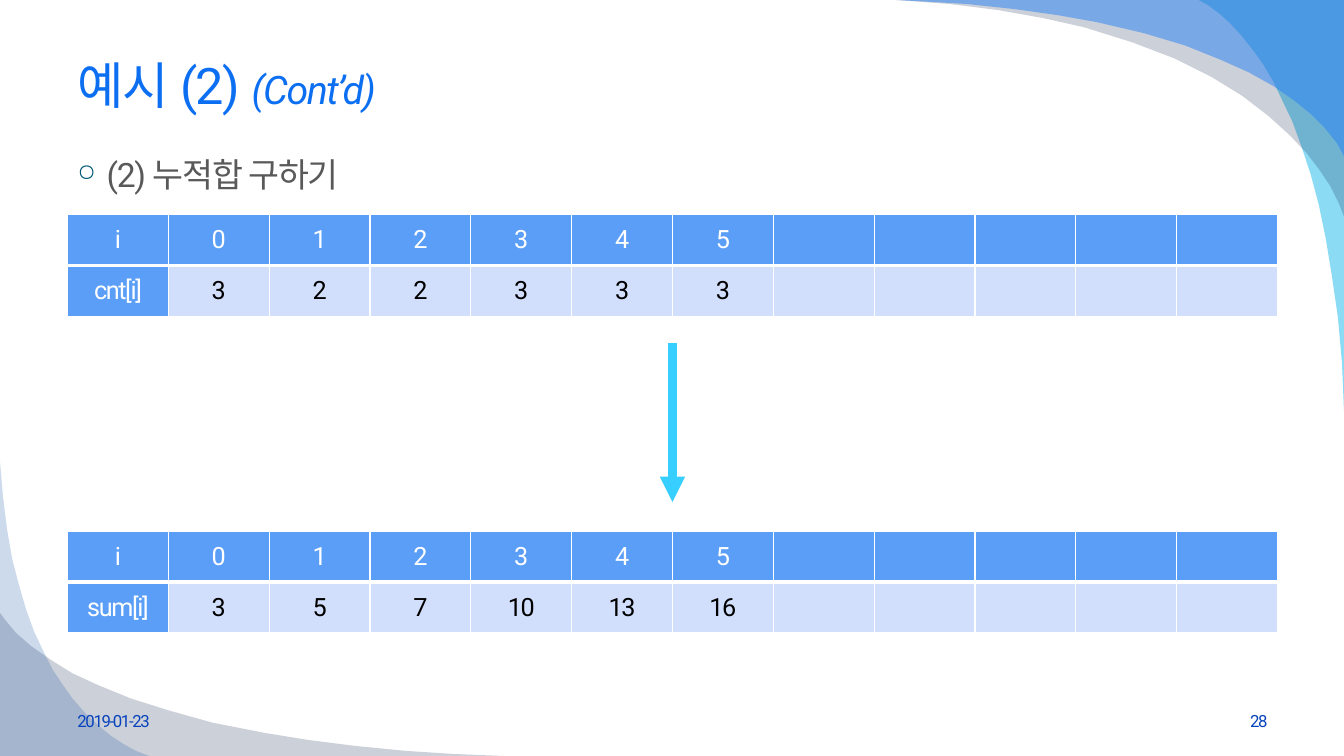
from pptx import Presentation
from pptx.dml.color import RGBColor
from pptx.enum.shapes import MSO_CONNECTOR
from pptx.enum.text import MSO_ANCHOR, MSO_AUTO_SIZE, PP_ALIGN
from pptx.oxml import parse_xml
from pptx.oxml.ns import nsdecls, qn
from pptx.util import Inches, Pt

FONT = "Roboto"
WHITE = "FFFFFF"
BLUE = "5B9EF7"
WAVES = [
    ("00B1E9", 45, [
        (13.33, 4.08), (13.33, 0), (11.89, 0), (11.98, 0.05), (12.1, 0.14),
        (12.2, 0.23), (12.31, 0.35), (12.43, 0.5), (12.53, 0.64),
        (12.63, 0.81), (12.72, 1), (12.82, 1.21), (12.91, 1.46),
        (13, 1.73), (13.08, 2.03), (13.15, 2.37), (13.21, 2.74),
        (13.27, 3.15), (13.31, 3.6)]),
    ("021741", 20, [
        (8.89, 0), (13.33, 0), (13.33, 2.15), (13.28, 2.02), (13.19, 1.84),
        (13.09, 1.69), (12.96, 1.52), (12.79, 1.34), (12.58, 1.15),
        (12.32, 0.95), (12.01, 0.76), (11.65, 0.58), (11.23, 0.42),
        (10.75, 0.27), (10.35, 0.18), (9.9, 0.1), (9.42, 0.04)]),
    ("247FF4", 49, [
        (8.89, 0), (13.33, 0), (13.33, 1.55), (13.26, 1.42), (13.14, 1.27),
        (13, 1.13), (12.84, 1), (12.64, 0.86), (12.39, 0.72), (12.1, 0.59),
        (11.75, 0.45), (11.35, 0.33), (10.88, 0.22), (10.49, 0.15),
        (10.06, 0.09), (9.59, 0.04), (9.25, 0.02)]),
    ("021741", 20, [
        (5, 7.5), (0, 7.5), (0, 6.08), (0.06, 6.16), (0.16, 6.28),
        (0.31, 6.41), (0.51, 6.55), (0.72, 6.68), (0.98, 6.8), (1.3, 6.93),
        (1.68, 7.05), (2.11, 7.17), (2.62, 7.27), (3.05, 7.34),
        (3.52, 7.4), (4.03, 7.45), (4.5, 7.48)]),
    ("084AA1", 20, [
        (0, 4.58), (0, 7.5), (1.48, 7.5), (1.35, 7.45), (1.24, 7.39),
        (1.1, 7.3), (0.98, 7.2), (0.85, 7.08), (0.72, 6.93), (0.62, 6.79),
        (0.52, 6.64), (0.43, 6.46), (0.34, 6.27), (0.26, 6.05),
        (0.19, 5.81), (0.12, 5.54), (0.07, 5.25), (0.03, 4.93)]),
]


def color(code):
    """Turn a hex string into a colour."""
    return RGBColor.from_string(code)


def add_run(para, text, size, code, slant=None):
    """Add one tightly spaced run to a paragraph."""
    run = para.add_run()
    run.text = text
    font = run.font
    font.name, font.size, font.bold, font.italic = FONT, Pt(size), False, slant
    font.color.rgb = color(code)
    props = run._r.get_or_add_rPr()
    props.set("spc", "-100")
    props.find(qn("a:latin")).addnext(
        parse_xml(f'<a:ea {nsdecls("a")} typeface="{FONT}"/>'))


def add_text(slide, box, text, size, code, align=PP_ALIGN.LEFT,
             anchor=MSO_ANCHOR.MIDDLE):
    """Add a one-paragraph text box and return its paragraph."""
    frame = slide.shapes.add_textbox(*map(Inches, box)).text_frame
    frame.word_wrap = True
    frame.vertical_anchor = anchor
    para = frame.paragraphs[0]
    para.alignment = align
    add_run(para, text, size, code)
    return para


def draw_waves(slide, left, top):
    """Draw the clear corner waves from the page's top left corner."""
    for code, alpha, points in WAVES:
        first, *rest = [(Inches(left + x), Inches(top + y)) for x, y in points]
        pen = slide.shapes.build_freeform(*first)
        pen.add_line_segments(rest, close=True)
        wave = pen.convert_to_shape()
        wave.shadow.inherit = False
        wave.line.fill.background()
        wave.fill.solid()
        wave.fill.fore_color.rgb = color(code)
        tint = wave._element.spPr.find(f'{qn("a:solidFill")}/{qn("a:srgbClr")}')
        tint.append(parse_xml(
            f'<a:alpha {nsdecls("a")} val="{alpha * 1000}"/>'))


def fill_title(slide, box):
    """Place the title and write its two runs."""
    title = slide.shapes.title
    title.left, title.top, title.width, title.height = map(Inches, box)
    frame = title.text_frame
    frame.auto_size = MSO_AUTO_SIZE.NONE
    frame.vertical_anchor = MSO_ANCHOR.MIDDLE
    para = frame.paragraphs[0]
    para.alignment = PP_ALIGN.LEFT
    add_run(para, "예시 (2) ", 36, "0C6FF2")
    add_run(para, "(Cont’d)", 28, "0C6FF2", True)


def draw_point(slide, box):
    """Write the bullet point."""
    para = add_text(slide, box, "(2) 누적합 구하기", 24, "595959",
                    anchor=MSO_ANCHOR.TOP)
    props = para._p.get_or_add_pPr()
    props.set("marL", str(Inches(0.29)))
    props.set("indent", str(Inches(-0.29)))
    for part in ('buClr {}><a:srgbClr val="005876"/></a:buClr',
                 'buSzPct {} val="70000"/', 'buChar {} char="○"/'):
        props.append(parse_xml("<a:" + part.format(nsdecls("a")) + ">"))


def edge_cell(cell, head):
    """Give a cell white edges, thick between the two rows."""
    props = cell._tc.get_or_add_tcPr()
    thick = "B" if head else "T"
    for side in "LRTB":
        width = Pt(3 if side == thick else 1)
        props.append(parse_xml(
            f'<a:ln{side} {nsdecls("a")} w="{width}"><a:solidFill>'
            f'<a:srgbClr val="{WHITE}"/></a:solidFill></a:ln{side}>'))


def draw_table(slide, box, name, values, count=12):
    """Draw an index row over a row of values, padded with blank cells."""
    rows = [["i", *range(len(values))], [name, *values]]
    table = slide.shapes.add_table(2, count, *map(Inches, box)).table
    table.first_col = True
    for r, row in enumerate(rows):
        for c in range(count):
            cell = table.cell(r, c)
            head = r == 0 or c == 0
            edge_cell(cell, r == 0)
            cell.fill.solid()
            cell.fill.fore_color.rgb = color(BLUE if head else "D2DFFC")
            cell.vertical_anchor = MSO_ANCHOR.MIDDLE
            if c < len(row):
                para = cell.text_frame.paragraphs[0]
                para.alignment = PP_ALIGN.CENTER
                add_run(para, str(row[c]), 18, WHITE if head else "000000")


def draw_arrow(slide, x, top, end):
    """Draw the thick arrow that points down."""
    arrow = slide.shapes.add_connector(
        MSO_CONNECTOR.STRAIGHT, *map(Inches, (x, top, x, end)))
    arrow.line.width = Pt(6)
    arrow.line.color.rgb = color("37CFFF")
    arrow.line._get_or_add_ln().append(
        parse_xml(f'<a:tailEnd {nsdecls("a")} type="triangle"/>'))
    arrow._element.spPr.append(parse_xml(f'<a:effectLst {nsdecls("a")}/>'))


def draw_foot(slide, left, top, width, height):
    """Write the date at the left and the page number at the right."""
    part = 3.11
    add_text(slide, (left, top, part, height), "2019-01-23", 12, "0743BC")
    add_text(slide, (left + width - part, top, part, height), "28", 12,
             "0743BC", PP_ALIGN.RIGHT)


def main():
    """Build the slide and save it."""
    deck = Presentation()
    deck.slide_width, deck.slide_height = Inches(13.33), Inches(7.5)
    slide = deck.slides.add_slide(deck.slide_layouts[5])
    left, width = 0.67, 12
    draw_waves(slide, 0, 0)
    fill_title(slide, (left, 0.33, width, 1.01))
    draw_point(slide, (left, 1.48, width, 0.6))
    draw_table(slide, (left, 2.13, width, 1.01), "cnt[i]", [3, 2, 2, 3, 3, 3])
    draw_arrow(slide, left + width / 2, 3.4, 4.98)
    draw_table(slide, (left, 5.27, width, 1.01), "sum[i]",
               [3, 5, 7, 10, 13, 16])
    draw_foot(slide, left, 6.95, width, 0.4)
    deck.save("out.pptx")


if __name__ == "__main__":
    main()
